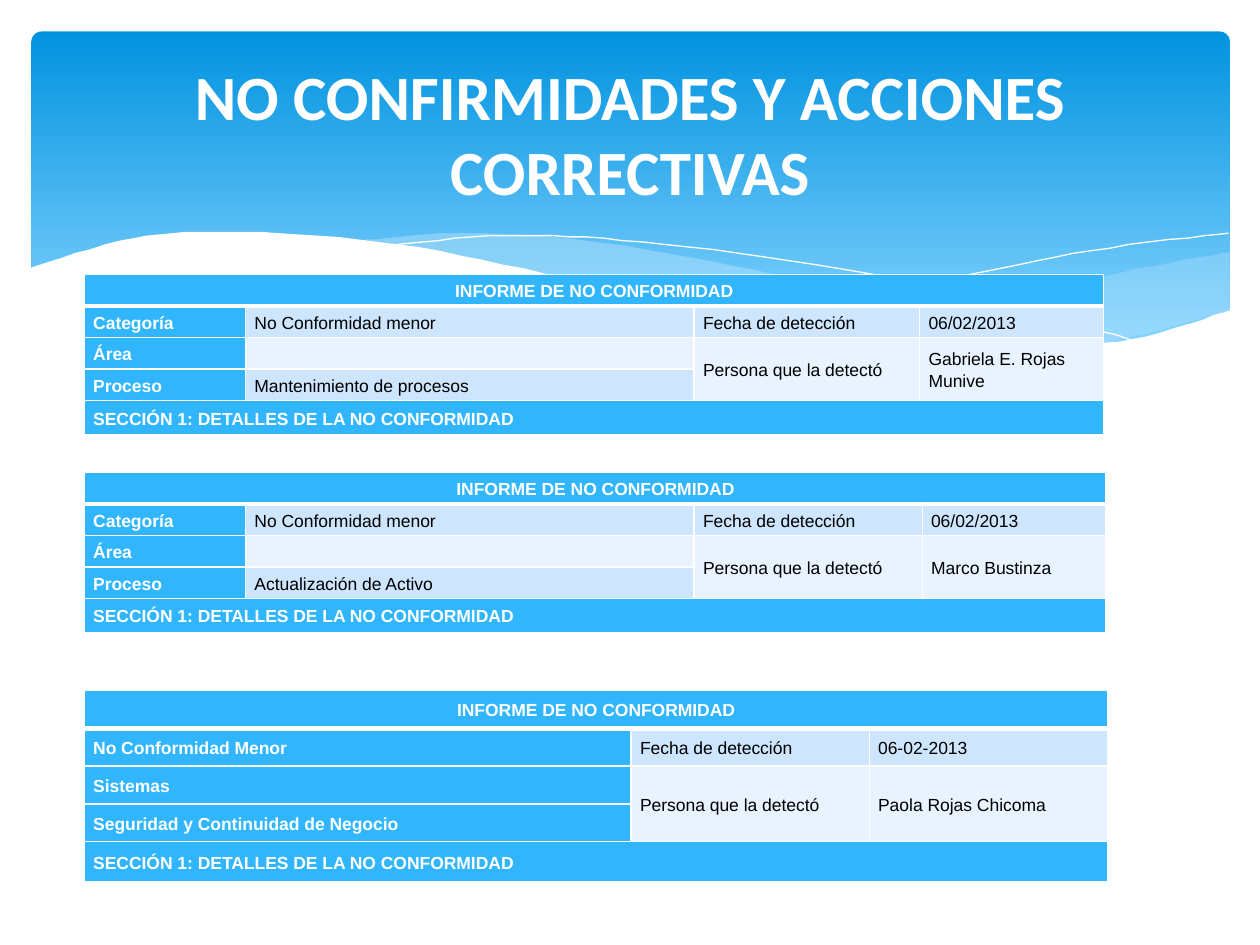
from lxml import etree
from pptx import Presentation, util as u
from pptx.dml.color import RGBColor
from pptx.enum import shapes, text
from pptx.oxml import ns

PX = 9144  # 100 px to the inch
WHITE, BLACK, BLUE, MID, PALE = "FFFFFF", "000000", "31B6FD", "CEE5FE", "E8F3FF"


def rgb(code):
    return RGBColor.from_string(code)


def curve(knots, steps=8):
    """Return points on a smooth (Catmull-Rom) line through the knots."""
    ends = [knots[0], *knots, knots[-1]]
    dots = [knots[0]]
    for a, b, c, d in zip(ends, ends[1:], ends[2:], ends[3:]):
        for i in range(1, steps + 1):
            t = i / steps
            dots.append(tuple(
                q + t / 2 * (r - p + t * (2 * p - 5 * q + 4 * r - s
                                          + t * (3 * q - p - 3 * r + s)))
                for p, q, r, s in zip(a, b, c, d)))
    return dots


deck = Presentation()
deck.slide_width, deck.slide_height = 1000 * PX, 750 * PX
slide = deck.slides.add_slide(deck.slide_layouts[5])

# Blue banner
banner = slide.shapes.add_shape(
    shapes.MSO_SHAPE.ROUNDED_RECTANGLE, *(n * PX for n in (25, 25, 951, 270)))
banner.adjustments[0] = 0.03
banner.shadow.inherit = False
banner.line.fill.background()
banner.fill.gradient()
banner.fill.gradient_angle = 270
for stop, (pos, code) in zip(banner.fill.gradient_stops,
                             [(0, "0293E0"), (0.9, "83D3FE")]):
    stop.position, stop.color.rgb = pos, rgb(code)

# Waves: fill (None for a bare line), opacity in percent, edges
waves = [
    ("C6E7FC", 29, [
        [(976, 200), (891, 216), (779, 242), (661, 265)],
        [(661, 265), (757, 276), (854, 276), (976, 247)]]),
    ("C6E7FC", 40, [
        [(893, 273), (741, 247), (598, 214), (465, 191), (361, 185), (286, 191)],
        [(286, 191), (404, 211), (566, 248), (722, 274), (818, 278), (893, 273)]]),
    (None, 100, [
        [(309, 195), (401, 187), (510, 192), (665, 213), (795, 241), (907, 272)]]),
    (None, 100, [[(613, 257), (748, 223), (866, 199), (975, 185)]]),
    (WHITE, 100, [
        [(977, 246), (899, 269), (809, 277), (688, 268), (555, 245), (447, 220),
         (316, 194), (193, 184), (106, 189), (23, 213)],
        [(23, 329), (977, 329)]]),
]
for code, alpha, edges in waves:
    dots = [dot for edge in edges for dot in curve(edge)]
    pen = slide.shapes.build_freeform(*dots[0], scale=PX)
    pen.add_line_segments(dots[1:], close=code is not None)
    wave = pen.convert_to_shape()
    wave.shadow.inherit = False
    if code is None:
        wave.fill.background()
        wave.line.color.rgb = rgb(WHITE)
        wave.line.width = 0
        continue
    wave.line.fill.background()
    wave.fill.solid()
    wave.fill.fore_color.rgb = rgb(code)
    if alpha < 100:
        tint = wave.element.spPr.find(".//" + ns.qn("a:srgbClr"))
        etree.SubElement(tint, ns.qn("a:alpha"), val=str(alpha * 1000))

# Title, raised above the banner
title = slide.shapes.title
title.element.getparent().append(title.element)
for key, val in dict(left=50, top=37, width=900, height=137).items():
    setattr(title, key, val * PX)
title.text_frame.text = "NO CONFIRMIDADES Y ACCIONES CORRECTIVAS"
title.text_frame.vertical_anchor = text.MSO_ANCHOR.MIDDLE
head = title.text_frame.paragraphs[0]
head.alignment = text.PP_ALIGN.CENTER
font = head.runs[0].font
font.color.rgb = rgb(WHITE)
for key, val in dict(name="Calibri", size=u.Pt(36), bold=True).items():
    setattr(font, key, val)

# Reports: top, column widths, row height, the three middle rows
TOP, FOOT = "INFORME DE NO CONFORMIDAD", "SECCIÓN 1: DETALLES DE LA NO CONFORMIDAD"
FOUND, WHO = "Fecha de detección", "Persona que la detectó"
FIRST = ["Categoría", "No Conformidad menor", FOUND, "06/02/2013"]
reports = [
    (218, [128, 356, 179, 146], 25, [
        FIRST,
        ["Área", "", WHO, "Gabriela E. Rojas Munive"],
        ["Proceso", "Mantenimiento de procesos", "", ""]]),
    (375, [128, 356, 181, 146], 25, [
        FIRST,
        ["Área", "", WHO, "Marco Bustinza"],
        ["Proceso", "Actualización de Activo", "", ""]]),
    (548, [434, 189, 189], 30, [
        ["No Conformidad Menor", FOUND, "06-02-2013"],
        ["Sistemas", WHO, "Paola Rojas Chicoma"],
        ["Seguridad y Continuidad de Negocio", "", ""]]),
]
inset = dict(margin_left=7 * PX, margin_right=7 * PX, margin_top=0,
             margin_bottom=0, vertical_anchor=text.MSO_ANCHOR.MIDDLE)
for top, cols, high, body in reports:
    wide = len(cols)
    blank = [""] * (wide - 1)
    grid = slide.shapes.add_table(
        5, wide, 67 * PX, top * PX, sum(cols) * PX, 5 * high * PX).table
    for col, size in zip(grid.columns, cols):
        col.width = size * PX
    grid.rows[4].height = (high + 2) * PX
    for r, line in enumerate([[TOP, *blank], *body, [FOOT, *blank]]):
        for c, words in enumerate(line):
            cell = grid.cell(r, c)
            label = c == 0 or r in (0, 4)
            for key, val in inset.items():
                setattr(cell, key, val)
            cell.fill.solid()
            cell.fill.fore_color.rgb = rgb(BLUE if label else PALE if r == 2 else MID)
            para = cell.text_frame.paragraphs[0]
            para.line_spacing = 1.15
            if r == 0:
                para.alignment = text.PP_ALIGN.CENTER
            if words:
                run = para.add_run()
                run.text = words
                run.font.color.rgb = rgb(WHITE if label else BLACK)
                for key, val in dict(name="Arial", size=u.Pt(10), bold=label).items():
                    setattr(run.font, key, val)
            else:
                etree.SubElement(para._p, ns.qn("a:endParaRPr"), sz="1000")
            props = cell._tc.get_or_add_tcPr()
            for i, side in enumerate("LRTB"):
                thick = (r, side) in [(0, "B"), (1, "T")]
                edge = etree.Element(ns.qn("a:ln" + side),
                                     w=str(u.Pt(3 if thick else 1)))
                ink = etree.SubElement(edge, ns.qn("a:solidFill"))
                etree.SubElement(ink, ns.qn("a:srgbClr"), val=WHITE)
                props.insert(i, edge)
    for r in (0, 4):
        grid.cell(r, 0).merge(grid.cell(r, wide - 1))
    for c in (wide - 2, wide - 1):
        grid.cell(2, c).merge(grid.cell(3, c))

deck.save("out.pptx")
